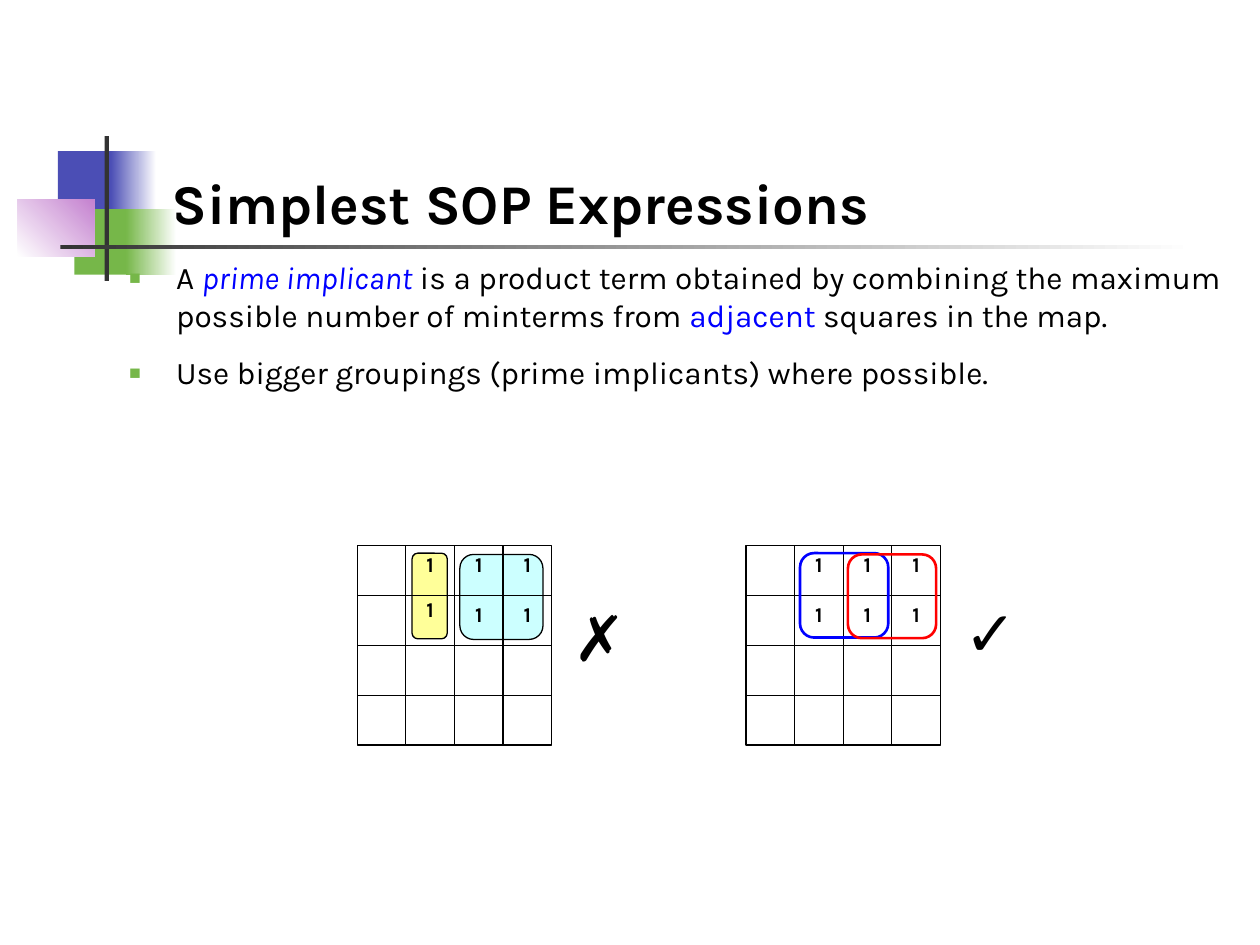
from lxml import etree
from pptx import Presentation
from pptx import util as u
from pptx.dml import color
from pptx.enum import shapes, text
from pptx.oxml import ns

COLUMNS, ROWS = 100, 75
BLUE, GREEN, PURPLE, GREY = "4B4EB5", "76B749", "C481CF", "333333"
BLACK, WHITE, LINK, RED = "000000", "FFFFFF", "0000FF", "FF0000"
RECTANGLE, ROUNDED = shapes.MSO_SHAPE.RECTANGLE, shapes.MSO_SHAPE.ROUNDED_RECTANGLE
LEFT, CENTER, JUSTIFY = text.PP_ALIGN.LEFT, text.PP_ALIGN.CENTER, text.PP_ALIGN.JUSTIFY
CELL_WIDTH, CELL_HEIGHT = 3.86, 3.96


def rgb(value):
    return color.RGBColor.from_string(value)


def apply(target, values):
    for name, value in values.items():
        setattr(target, name, value)


class SlideBuilder:
    font = "Karla"
    thin = 0.75

    def __init__(self, presentation):
        self.column = presentation.slide_width / COLUMNS
        self.row = presentation.slide_height / ROWS
        self.slide = presentation.slides.add_slide(presentation.slide_layouts[5])

    def box(self, left, top, width, height):
        return (round(left * self.column), round(top * self.row),
                round(width * self.column), round(height * self.row))

    def run(self, paragraph, content, ink=BLACK, **values):
        run = paragraph.add_run()
        run.text = content
        apply(run.font, {"name": self.font, **values})
        run.font.color.rgb = rgb(ink)

    def title(self, content, *place):
        shape = self.slide.shapes.title
        apply(shape, dict(zip(("left", "top", "width", "height"), self.box(*place))))
        apply(shape.text_frame, {"vertical_anchor": text.MSO_ANCHOR.BOTTOM, "word_wrap": True,
                                 "auto_size": text.MSO_AUTO_SIZE.NONE})
        paragraph = shape.text_frame.paragraphs[0]
        paragraph.alignment = LEFT
        self.run(paragraph, content, size=u.Pt(32), bold=True)

    def text(self, content, *place, align=LEFT, **values):
        frame = self.slide.shapes.add_textbox(*self.box(*place)).text_frame
        frame.word_wrap = True
        paragraph = frame.paragraphs[0]
        paragraph.alignment = align
        self.run(paragraph, content, **values)

    def bullets(self, items, *place, gap):
        frame = self.slide.shapes.add_textbox(*self.box(*place)).text_frame
        frame.word_wrap = True
        for index, pieces in enumerate(items):
            paragraph = frame.add_paragraph() if index else frame.paragraphs[0]
            self.bullet(paragraph)
            paragraph.alignment = JUSTIFY
            if index:
                paragraph.space_before = u.Pt(gap)
            for content, values in pieces:
                self.run(paragraph, content, size=u.Pt(18), **values)

    def bullet(self, paragraph):
        properties = paragraph._p.get_or_add_pPr()
        indent = round(3.8 * self.column)
        properties.set("marL", str(indent))
        properties.set("indent", str(-indent))
        bullet_color = etree.SubElement(properties, ns.qn("a:buClr"))
        etree.SubElement(bullet_color, ns.qn("a:srgbClr"), val=GREEN)
        etree.SubElement(properties, ns.qn("a:buSzPct"), val="120000")
        etree.SubElement(properties, ns.qn("a:buFont"), typeface="Arial")
        etree.SubElement(properties, ns.qn("a:buChar"), char="▪")

    def shape(self, *place, kind=RECTANGLE, fill=None, fade=None, angle=0, line=None, weight=thin):
        shape = self.slide.shapes.add_shape(kind, *self.box(*place))
        shape.shadow.inherit = False
        if fade:
            shape.fill.gradient()
            shape.fill.gradient_angle = angle
            for stop, value in zip(shape.fill.gradient_stops, (fill, fade)):
                stop.color.rgb = rgb(value)
        elif fill:
            shape.fill.solid()
            shape.fill.fore_color.rgb = rgb(fill)
        else:
            shape.fill.background()
        if line:
            shape.line.color.rgb = rgb(line)
            shape.line.width = u.Pt(weight)
        else:
            shape.line.fill.background()

    def line(self, left, top, width, height):
        left, top, width, height = self.box(left, top, width, height)
        connector = self.slide.shapes.add_connector(
            shapes.MSO_CONNECTOR.STRAIGHT, left, top, left + width, top + height)
        connector.line.color.rgb = rgb(BLACK)
        connector.line.width = u.Pt(self.thin)
        etree.SubElement(connector._element.spPr, ns.qn("a:effectLst"))

    def group(self, *place, **style):
        self.shape(*place, kind=ROUNDED, **style)

    def map(self, left, top, ones):
        width, height = 4 * CELL_WIDTH, 4 * CELL_HEIGHT
        self.shape(left, top, width, height, line=BLACK)
        for step in (1, 2, 3):
            self.line(left, top + step * CELL_HEIGHT, width, 0)
            self.line(left + step * CELL_WIDTH, top, 0, height)
        for column, row, shift in ones:
            self.text("1", left + column * CELL_WIDTH, top + row * CELL_HEIGHT + shift,
                      CELL_WIDTH, CELL_HEIGHT, align=CENTER, size=u.Pt(12), bold=True)

    def mark(self, symbol, left, top):
        self.text(symbol, left, top, 7.7, 9.2, size=u.Pt(36), name="Arial")


def main():
    presentation = Presentation()
    apply(presentation, {"slide_width": u.Inches(10), "slide_height": u.Inches(7.5)})
    builder = SlideBuilder(presentation)

    builder.shape(4.6, 12, 4.8, 5.2, fill=BLUE)
    builder.shape(8.8, 12, 3.6, 5.2, fill=BLUE, fade=WHITE)
    builder.shape(5.9, 16.6, 4.6, 5.2, fill=GREEN)
    builder.shape(10, 16.6, 4, 5.2, fill=GREEN, fade=WHITE)
    builder.shape(1.4, 15.8, 6.1, 4.6, fill=WHITE, fade=PURPLE, angle=45)
    builder.shape(8.3, 10.8, 0.35, 11.5, fill=GREY)
    builder.shape(4.8, 19.45, 90, 0.35, fill=GREY, fade=WHITE)

    builder.title("Simplest SOP Expressions", 12.6, 6.7, 85.2, 12.5)
    builder.bullets([
        [("A ", {}),
         ("prime implicant", {"ink": LINK, "italic": True}),
         (" is a product term obtained by combining the maximum possible number of "
          "minterms from ", {}),
         ("adjacent", {"ink": LINK}),
         (" squares in the map.", {})],
        [("Use bigger groupings (prime implicants) where possible.", {})],
    ], 9.2, 20, 88.7, 24.3, gap=11.2)

    cells = [(column, row, 0) for row in (0, 1) for column in (1, 2, 3)]
    raised = [(column, row, -0.4 if (column, row) == (1, 1) else 0) for column, row, _ in cells]

    builder.group(36.5, 44, 6.6, 6.75, fill="CCFFFF", line=BLACK)
    builder.group(32.7, 43.9, 2.8, 6.8, fill="FFFF99", line=BLACK)
    builder.map(28.35, 43.3, raised)
    builder.mark("✗", 44.5, 47)

    builder.map(59.2, 43.3, cells)
    builder.group(63.5, 43.9, 7, 6.7, line=LINK, weight=1.5)
    builder.group(67.3, 44, 7, 6.65, line=RED, weight=1.5)
    builder.mark("✓", 75.6, 46.6)

    presentation.save("out.pptx")


if __name__ == "__main__":
    main()
